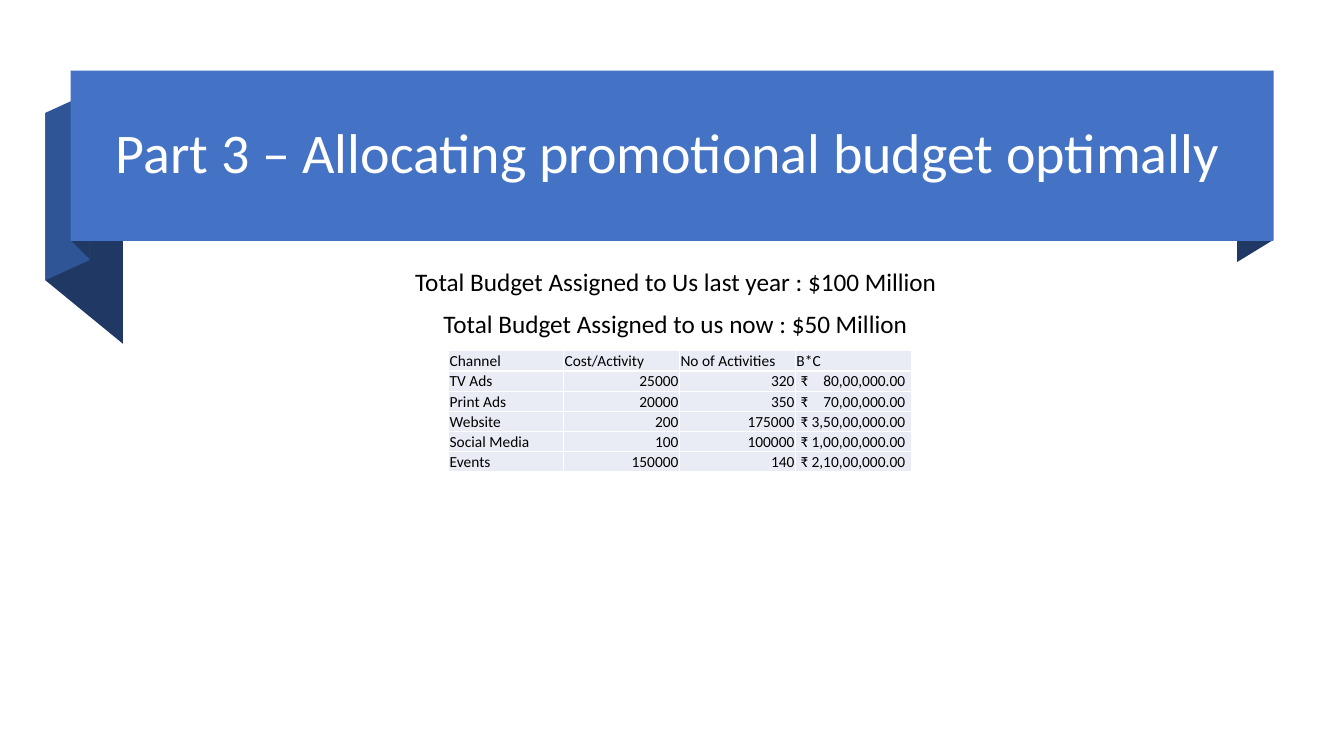
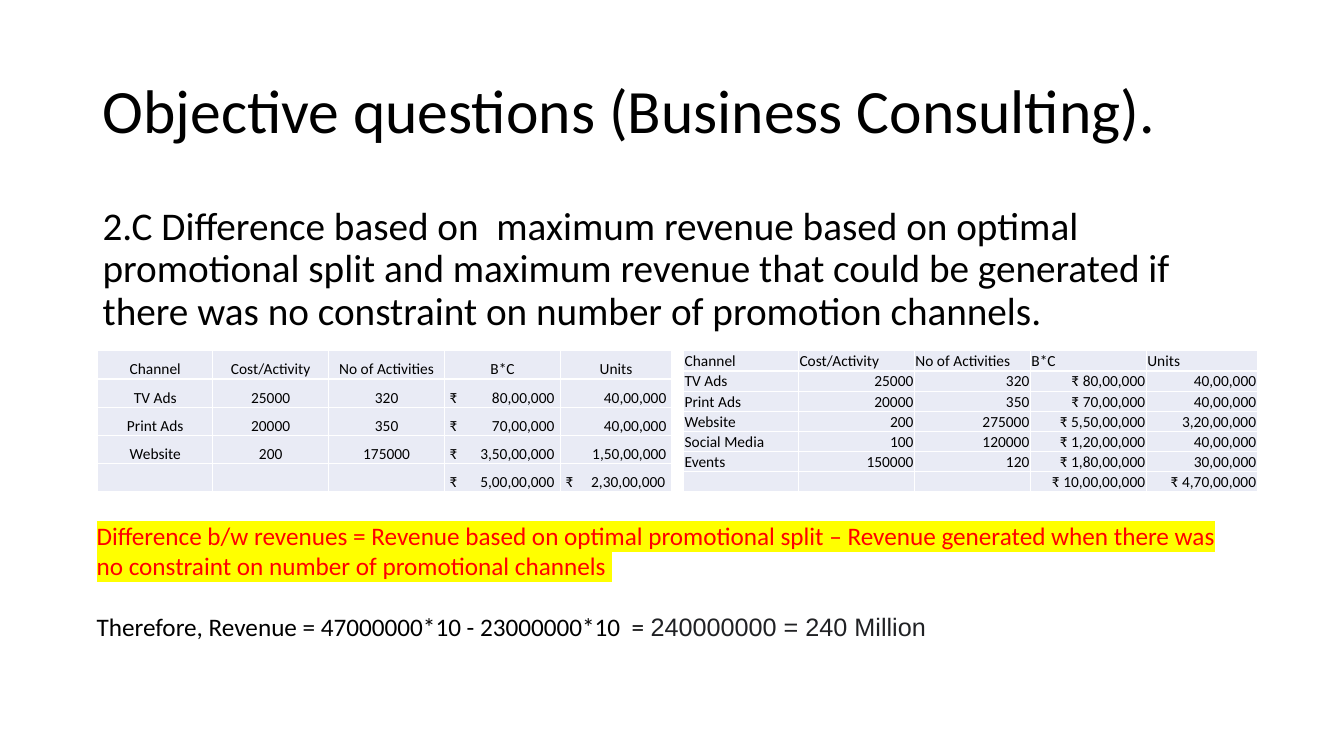
from lxml.etree import SubElement
from pptx import Presentation
from pptx.dml.color import RGBColor
from pptx.enum.shapes import MSO_SHAPE
from pptx.enum.text import MSO_ANCHOR, PP_ALIGN
from pptx.oxml.ns import qn
from pptx.util import Pt

PX = 9144  # 100 px to the inch
FONT = "Calibri"
BLACK = RGBColor(0x00, 0x00, 0x00)
WHITE = RGBColor(0xFF, 0xFF, 0xFF)
RED = RGBColor(0xFF, 0x00, 0x00)
YELLOW = RGBColor(0xFF, 0xFF, 0x00)
CHARCOAL = RGBColor(0x20, 0x21, 0x24)
BLUE = RGBColor(0x44, 0x72, 0xC4)
MID_BLUE = RGBColor(0x2F, 0x55, 0x97)
NAVY = RGBColor(0x20, 0x38, 0x64)
CELL_FILL = RGBColor(0xE9, 0xEB, 0xF5)

# Content: a tab in a cell puts the sign left and the figure right
BUDGET_TITLE = "Part 3 – Allocating promotional budget optimally"
BUDGET_LINES = [
    ("Total Budget Assigned to Us last year : $100 Million", (402, 259, 547, 40)),
    ("Total Budget Assigned to us now : $50 Million", (430, 301, 504, 40)),
]
HEADERS = ["Channel", "Cost/Activity", "No of Activities", "B*C", "Units"]
BUDGET_ROWS = [
    HEADERS[:4],
    ["TV Ads", "25000", "320", "₹\t80,00,000.00"],
    ["Print Ads", "20000", "350", "₹\t70,00,000.00"],
    ["Website", "200", "175000", "₹\t3,50,00,000.00"],
    ["Social Media", "100", "100000", "₹\t1,00,00,000.00"],
    ["Events", "150000", "140", "₹\t2,10,00,000.00"],
]

QUESTION_TITLE = "Objective questions (Business Consulting)."
QUESTION = ("2.C Difference based on  maximum revenue based on optimal promotional split "
            "and maximum revenue that could be generated if there was no constraint "
            "on number of promotion channels.")
OPTIMAL_ROWS = [
    HEADERS,
    ["TV Ads", "25000", "320", "₹\t80,00,000", "40,00,000"],
    ["Print Ads", "20000", "350", "₹\t70,00,000", "40,00,000"],
    ["Website", "200", "175000", "₹\t3,50,00,000", "1,50,00,000"],
    ["", "", "", "₹\t5,00,00,000", "₹\t2,30,00,000"],
]
UNLIMITED_ROWS = [
    HEADERS,
    ["TV Ads", "25000", "320", "₹ 80,00,000", "40,00,000"],
    ["Print Ads", "20000", "350", "₹ 70,00,000", "40,00,000"],
    ["Website", "200", "275000", "₹ 5,50,00,000", "3,20,00,000"],
    ["Social Media", "100", "120000", "₹ 1,20,00,000", "40,00,000"],
    ["Events", "150000", "120", "₹ 1,80,00,000", "30,00,000"],
    ["", "", "", "₹ 10,00,00,000", "₹ 4,70,00,000"],
]
DIFFERENCE = ("Difference b/w revenues = Revenue based on optimal promotional split – Revenue "
              "generated when there was no constraint on number of promotional channels ")
RESULT_START = "Therefore, Revenue = 47000000*10 - 23000000*10  = "
RESULT_END = "240000000 = 240 Million"

# Geometry in px
COLUMN_WIDTHS = [114, 115, 115, 115, 110]
TABLE_TOP = 348
FIGURE_PAD = 5
RIBBON_FOLDS = [
    (NAVY, [(122, 341), (45, 278), (45, 112), (122, 175)]),
    (MID_BLUE, [(89, 258), (45, 278), (45, 112), (89, 92)]),
    (NAVY, [(89, 257), (71, 239), (71, 70), (89, 89)]),
    (NAVY, [(1263, 238), (1227, 260), (1227, 91), (1263, 70)]),
]
ALIGNMENTS = {"l": PP_ALIGN.LEFT, "c": PP_ALIGN.CENTER, "r": PP_ALIGN.RIGHT}


def scaled(lengths):
    return [length * PX for length in lengths]


def add_span(para, text, size, color=BLACK, font=FONT, highlight=None):
    span = para.add_run()
    span.text = text
    span.font.size = Pt(size)
    span.font.name = font
    span.font.color.rgb = color
    if highlight is not None:
        properties = span.font._element
        marker = SubElement(properties, qn("a:highlight"))
        SubElement(marker, qn("a:srgbClr"), val=str(highlight))
        properties.find(qn("a:solidFill")).addnext(marker)


def add_box(page, place, anchor=MSO_ANCHOR.TOP):
    frame = page.shapes.add_textbox(*scaled(place)).text_frame
    frame.word_wrap = True
    frame.vertical_anchor = anchor
    return frame


def add_text(page, place, text, size, color=BLACK, spacing=None, anchor=MSO_ANCHOR.TOP):
    para = add_box(page, place, anchor).paragraphs[0]
    para.line_spacing = spacing
    add_span(para, text, size, color)


def add_title(page, place, text, size, color=BLACK):
    add_text(page, place, text, size, color, 0.9, MSO_ANCHOR.MIDDLE)


def paint(shape, color):
    shape.shadow.inherit = False
    shape.fill.solid()
    shape.fill.fore_color.rgb = color
    shape.line.fill.background()


def style_cell(cell):
    cell.vertical_anchor = MSO_ANCHOR.BOTTOM
    cell.margin_left = cell.margin_right = cell.margin_top = PX
    cell.margin_bottom = 0
    properties = cell._tc.get_or_add_tcPr()
    for side in ("a:lnL", "a:lnR", "a:lnT", "a:lnB"):
        border = SubElement(properties, qn(side), w=str(Pt(1)))
        fill = SubElement(border, qn("a:solidFill"))
        SubElement(fill, qn("a:srgbClr"), val=str(WHITE))
    cell.fill.solid()
    cell.fill.fore_color.rgb = CELL_FILL


def fill_cell(cell, text, code, width):
    """Write one cell; code is l, c, r or f (figures padded on the right)."""
    para = cell.text_frame.paragraphs[0]
    if not text:
        SubElement(para._p, qn("a:endParaRPr"), sz="1100")
        return
    if "\t" in text:
        cell.margin_left = FIGURE_PAD * PX
        tabs = SubElement(para._p.get_or_add_pPr(), qn("a:tabLst"))
        SubElement(tabs, qn("a:tab"), pos=str((width - 2 * FIGURE_PAD - 1) * PX), algn="r")
    elif code == "f":
        cell.margin_right = FIGURE_PAD * PX
        para.alignment = PP_ALIGN.RIGHT
    else:
        para.alignment = ALIGNMENTS[code]
    add_span(para, text, 11)


def add_grid(page, left, rows, row_height, codes):
    """Draw a table; the header row takes the first column's alignment."""
    widths = COLUMN_WIDTHS[:len(codes)]
    place = (left, TABLE_TOP, sum(widths), row_height * len(rows))
    table = page.shapes.add_table(len(rows), len(codes), *scaled(place)).table
    table.first_row = table.horz_banding = False
    for column, width in zip(table.columns, widths):
        column.width = width * PX
    for row_index, row in enumerate(rows):
        table.rows[row_index].height = row_height * PX
        row_codes = codes if row_index else codes[0] * len(codes)
        for column_index, (text, code) in enumerate(zip(row, row_codes)):
            cell = table.cell(row_index, column_index)
            style_cell(cell)
            fill_cell(cell, text, code, widths[column_index])


def build_budget_page(page):
    # Ribbon behind the title
    for color, points in RIBBON_FOLDS:
        outline = page.shapes.build_freeform(*points[0], scale=PX)
        outline.add_line_segments(points[1:], close=True)
        paint(outline.convert_to_shape(), color)
    band = page.shapes.add_shape(MSO_SHAPE.RECTANGLE, *scaled((70, 70, 1193, 169)))
    paint(band, BLUE)
    add_title(page, (105, 88, 1123, 133), BUDGET_TITLE, 40, WHITE)
    # Budgets and channel costs
    for text, place in BUDGET_LINES:
        add_text(page, place, text, 18)
    add_grid(page, 445, BUDGET_ROWS, 20, "lrrf")


def build_question_page(page):
    add_title(page, (92, 40, 1150, 145), QUESTION_TITLE, 44)
    add_text(page, (92, 200, 1150, 476), QUESTION, 28, spacing=0.9)
    # Optimal split beside the unconstrained split
    add_grid(page, 97, OPTIMAL_ROWS, 28, "cccff")
    add_grid(page, 678, UNLIMITED_ROWS, 20, "lrrrr")
    # Conclusion
    frame = add_box(page, (86, 511, 1144, 192))
    add_span(frame.paragraphs[0], DIFFERENCE, 18, RED, highlight=YELLOW)
    result = frame.add_paragraph()
    result.space_before = Pt(22)
    add_span(result, RESULT_START, 18)
    add_span(result, RESULT_END, 18, CHARCOAL, "Arial")


def main():
    deck = Presentation()
    deck.slide_width, deck.slide_height = scaled((1333, 750))
    for build_page in (build_budget_page, build_question_page):
        build_page(deck.slides.add_slide(deck.slide_layouts[6]))
    deck.save("out.pptx")


if __name__ == "__main__":
    main()
